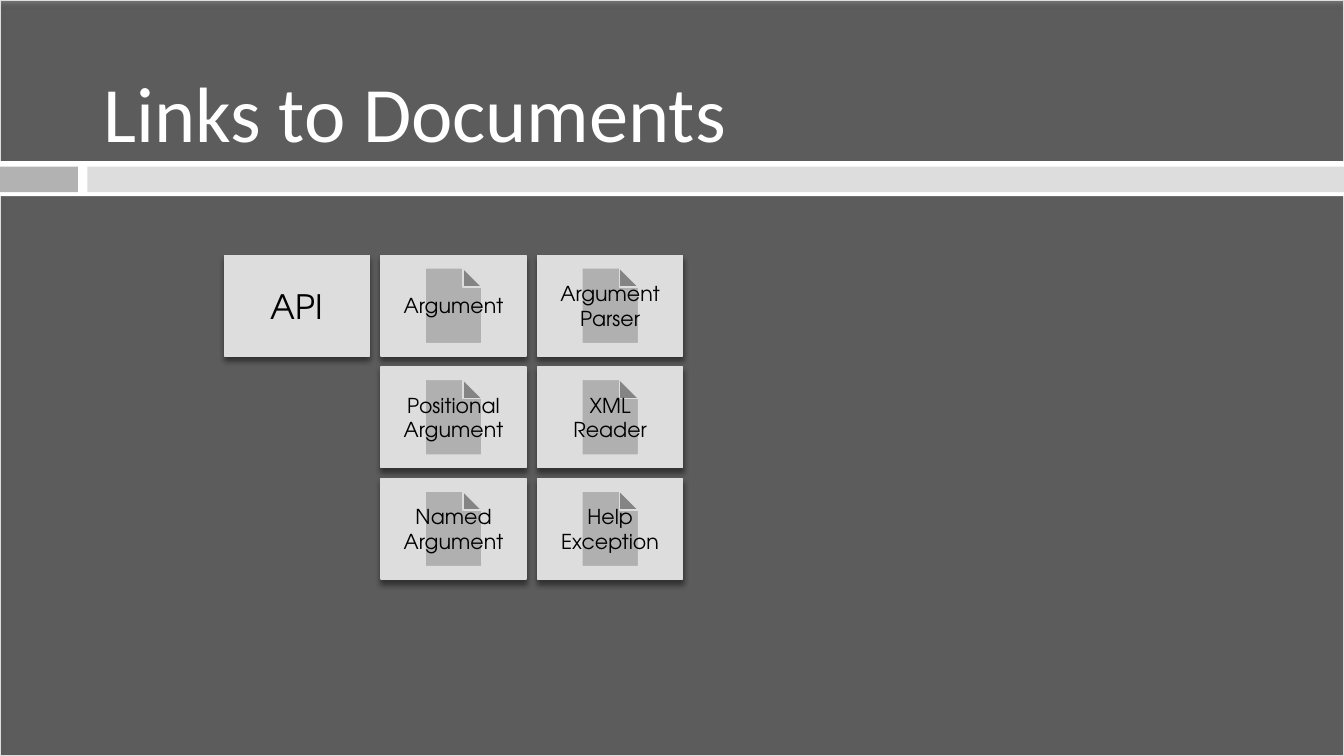
from dataclasses import dataclass

from lxml import etree
from pptx import Presentation
from pptx import util as u
from pptx.dml.color import RGBColor
from pptx.enum import shapes, text
from pptx.oxml.ns import qn


@dataclass(frozen=True)
class Theme:
    """Colours, fonts and type sizes."""
    black: str = "000000"
    white: str = "FFFFFF"
    pale: str = "DDDDDD"
    grey: str = "B2B2B2"
    title_font: str = "Calibri"
    label_font: str = "TeX Gyre Adventor"
    title_size: int = 42
    heading_size: int = 18
    label_size: int = 11
    line_width: float = 0.79


THEME = Theme()
KINDS = shapes.MSO_SHAPE
PAGE_WIDTH = 10
PAGE_HEIGHT = PAGE_WIDTH * 9 / 16


def add_alpha(colour, percent):
    """Set the opacity of a colour element."""
    etree.SubElement(colour, qn("a:alpha"), val=str(percent * 1000))


def add_shadow(shape):
    """Cast a soft shadow straight down."""
    effects = shape._element.spPr.find(qn("a:effectLst"))
    shadow = etree.SubElement(
        effects, qn("a:outerShdw"), blurRad=str(u.Pt(3)), dist=str(u.Pt(2.4)),
        dir="5400000", rotWithShape="0")
    add_alpha(etree.SubElement(shadow, qn("a:srgbClr"), val=THEME.black), 45)


def add_block(page, box, fill, kind=KINDS.RECTANGLE, opacity=100, raised=False):
    """Draw a filled shape, outlined and shadowed when raised."""
    shape = page.shapes.add_shape(kind, *map(u.Inches, box))
    shape.shadow.inherit = False
    shape.fill.solid()
    shape.fill.fore_color.rgb = RGBColor.from_string(fill)
    if opacity < 100:
        add_alpha(shape._element.spPr.find(qn("a:solidFill"))[0], opacity)
    if raised:
        shape.line.color.rgb = RGBColor.from_string(THEME.pale)
        shape.line.width = u.Pt(THEME.line_width)
        add_shadow(shape)
    else:
        shape.line.fill.background()
    return shape


def write(shape, words, size, font, colour, align, anchor):
    """Write one formatted paragraph in a shape."""
    frame = shape.text_frame
    frame.word_wrap = True
    frame.vertical_anchor = anchor
    para = frame.paragraphs[0]
    para.alignment = align
    span = para.add_run()
    span.text = words
    span.font.size = u.Pt(size)
    span.font.name = font
    span.font.color.rgb = RGBColor.from_string(colour)


def add_backdrop(page, box):
    """Cover the page with a dark translucent panel."""
    add_block(page, box, THEME.black, opacity=52, raised=True)


def add_band(page, box):
    """Draw the white band with its short and long bars."""
    left, top, width, height = box
    bar_top, bar_height = top + 0.04, height - 0.07
    add_block(page, box, THEME.white)
    add_block(page, (left, bar_top, 0.58, bar_height), THEME.grey)
    add_block(page, (left + 0.65, bar_top, width - 0.65, bar_height), THEME.pale)


def add_title(page, box, words):
    """Place the slide title."""
    title = page.shapes.add_textbox(*map(u.Inches, box))
    write(title, words, size=THEME.title_size, font=THEME.title_font,
          colour=THEME.white, align=text.PP_ALIGN.LEFT,
          anchor=text.MSO_ANCHOR.BOTTOM)


def add_buttons(page, box, rows):
    """Lay out the heading button and document buttons in a grid."""
    left, top, width, height = box
    button_width, button_height = 1.08, 0.75
    step_x = (width - button_width) / 2
    step_y = (height - button_height) / (len(rows) - 1)
    for row, labels in enumerate(rows):
        for column, label in enumerate(labels):
            if not label:
                continue
            heading = column == 0
            kind = KINDS.ACTION_BUTTON_CUSTOM if heading else KINDS.ACTION_BUTTON_DOCUMENT
            place = (left + column * step_x, top + row * step_y,
                     button_width, button_height)
            button = add_block(page, place, THEME.pale, kind, raised=True)
            write(button, label,
                  size=THEME.heading_size if heading else THEME.label_size,
                  font=THEME.label_font, colour=THEME.black,
                  align=text.PP_ALIGN.CENTER, anchor=text.MSO_ANCHOR.MIDDLE)


def main():
    """Build and save the deck."""
    deck = Presentation()
    deck.slide_width = u.Inches(PAGE_WIDTH)
    deck.slide_height = u.Inches(PAGE_HEIGHT)
    page = deck.slides.add_slide(deck.slide_layouts[6])
    add_backdrop(page, (0, 0, PAGE_WIDTH, PAGE_HEIGHT))
    add_band(page, (0, 1.2, PAGE_WIDTH, 0.26))
    add_title(page, (0.67, 0.13, 8.92, 1.1), "Links to Documents")
    add_buttons(page, (1.67, 1.9, 3.41, 2.41), [
        ("API", "Argument", "Argument Parser"),
        (None, "Positional Argument", "XML Reader"),
        (None, "Named Argument", "Help Exception"),
    ])
    deck.save("out.pptx")


if __name__ == "__main__":
    main()
